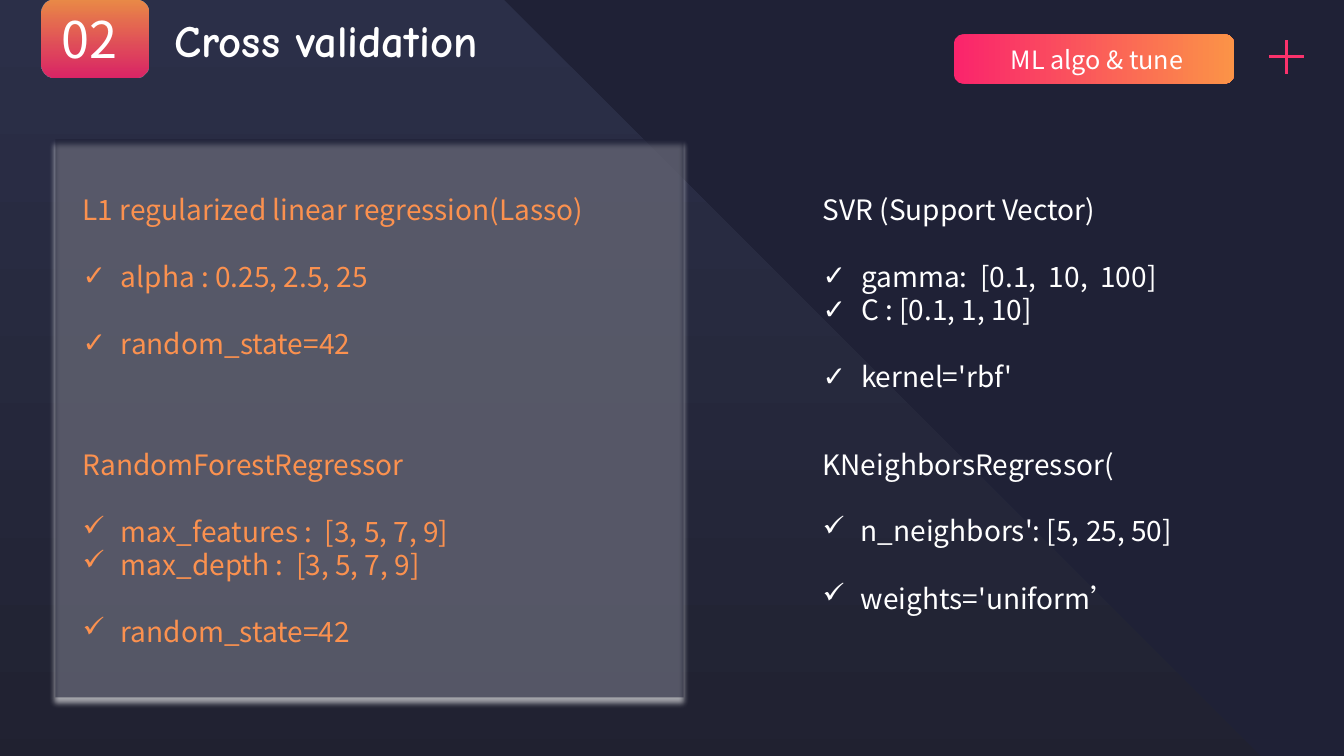
from lxml.etree import SubElement
from pptx import Presentation
from pptx.dml.color import RGBColor
from pptx.enum.shapes import MSO_CONNECTOR, MSO_SHAPE
from pptx.enum.text import MSO_ANCHOR, MSO_AUTO_SIZE, PP_ALIGN
from pptx.oxml.ns import qn
from pptx.util import Inches, Pt

NAVY = RGBColor(0x1F, 0x21, 0x36)
SLATE = RGBColor(0x2B, 0x2F, 0x48)
DARK = RGBColor(0x20, 0x21, 0x30)
PINK = RGBColor(0xFA, 0x24, 0x6C)
ROSE = RGBColor(0xFA, 0x32, 0x6C)
AMBER = RGBColor(0xFB, 0x93, 0x47)
ORANGE = RGBColor(0xFB, 0x91, 0x4F)
WHITE = RGBColor(0xFF, 0xFF, 0xFF)
SANS = "Noto Sans CJK SC"
COMIC = "Comic Neue"

# Each model: placeholder numbers, left, top, colour, heading, groups of settings
MODELS = [
    (1, 2, 0.72, 1.86, ORANGE, "L1 regularized linear regression(Lasso)",
     [["alpha : 0.25, 2.5, 25"], ["random_state=42"]]),
    (3, 4, 8.06, 1.86, WHITE, "SVR (Support Vector)",
     [["gamma:  [0.1,  10,  100]", "C : [0.1, 1, 10]"], ["kernel='rbf'"]]),
    (None, None, 0.72, 4.39, ORANGE, "RandomForestRegressor",
     [["max_features :  [3, 5, 7, 9]", "max_depth :  [3, 5, 7, 9]"],
      ["random_state=42"]]),
    (None, None, 8.06, 4.39, WHITE, "KNeighborsRegressor(",
     [["n_neighbors': [5, 25, 50]"], ["weights='uniform’"]]),
]


def place(shape, left, top, width, height):
    shape.left, shape.top = Inches(left), Inches(top)
    shape.width, shape.height = Inches(width), Inches(height)


def clear(color, share):
    """Set the opacity, in percent, of the colour element."""
    SubElement(color, qn("a:alpha"), val=str(share * 1000))


def blend(shape, first, last, angle, shares=()):
    shape.fill.gradient()
    shape.fill.gradient_angle = angle
    for stop, color in zip(shape.fill.gradient_stops, (first, last)):
        stop.color.rgb = color
    colors = shape.element.spPr.iter(qn("a:srgbClr"))
    for color, share in zip(list(colors), shares):
        clear(color, share)


def add_block(slide, kind, left, top, width, height):
    block = slide.shapes.add_shape(kind, Inches(left), Inches(top),
                                   Inches(width), Inches(height))
    block.shadow.inherit = False
    block.line.fill.background()
    return block


def add_run(para, text, size, color, font=SANS, bold=False):
    run = para.add_run()
    run.text = text
    run.font.size, run.font.name, run.font.bold = Pt(size), font, bold
    run.font.color.rgb = color


def set_frame(shape, anchor):
    frame = shape.text_frame
    frame.word_wrap = True
    frame.auto_size = MSO_AUTO_SIZE.NONE
    frame.vertical_anchor = anchor
    return frame


def add_label(shape, text, size, align, inset):
    frame = set_frame(shape, MSO_ANCHOR.MIDDLE)
    frame.margin_left = Inches(inset)
    frame.margin_top = frame.margin_bottom = 0
    para = frame.paragraphs[0]
    para.alignment = align
    add_run(para, text, size, WHITE)


def add_stroke(slide, *ends):
    line = slide.shapes.add_connector(MSO_CONNECTOR.STRAIGHT, *map(Inches, ends))
    line.line.color.rgb, line.line.width = ROSE, Pt(2.75)
    SubElement(line.element.spPr, qn("a:effectLst"))


def get_box(slide, number):
    """Bring a placeholder to the front, or add a text box."""
    if number is None:
        return slide.shapes.add_textbox(0, 0, 0, 0)
    box = slide.placeholders[number]
    box.element.getparent().append(box.element)
    return box


def add_title(slide, text):
    title = get_box(slide, 0)
    place(title, 1.63, 0.08, 7.44, 0.64)
    para = set_frame(title, MSO_ANCHOR.TOP).paragraphs[0]
    para.alignment = PP_ALIGN.LEFT
    add_run(para, text, 32, WHITE, COMIC, True)


def add_head(box, left, top, text, color):
    place(box, left, top, 5.95, 0.44)
    para = set_frame(box, MSO_ANCHOR.TOP).paragraphs[0]
    para.space_before = Pt(0)
    add_run(para, text, 20, color)


def add_list(box, left, top, groups, color):
    count = sum(map(len, groups)) + len(groups) - 1
    place(box, left, top, 5.95, 0.1 + count / 3)
    frame = set_frame(box, MSO_ANCHOR.TOP)
    for g, group in enumerate(groups):
        for i, text in enumerate(group):
            para = frame.paragraphs[0] if g + i == 0 else frame.add_paragraph()
            para.space_before = Pt(24 if g and i == 0 else 0)
            props = para._p.get_or_add_pPr()
            props.set("marL", str(Inches(0.38)))
            props.set("indent", str(-Inches(0.38)))
            SubElement(props, qn("a:buChar"), char="✓")
            add_run(para, text, 20, color)


def add_back(slide):
    block = add_block(slide, MSO_SHAPE.RECTANGLE, 0, 0, 13.33, 7.5)
    block.fill.solid()
    block.fill.fore_color.rgb = NAVY
    path = slide.shapes.build_freeform(0, 0, scale=Inches(1))
    path.add_line_segments([(5.36, 0), (12.63, 7.5), (0, 7.5)], close=True)
    slope = path.convert_to_shape()
    slope.shadow.inherit = False
    slope.line.fill.background()
    blend(slope, SLATE, DARK, 270)


def add_panel(slide):
    panel = add_block(slide, MSO_SHAPE.RECTANGLE, 0.55, 1.38, 6.23, 5.54)
    panel.fill.solid()
    panel.fill.fore_color.rgb = NAVY
    props = panel.element.spPr
    clear(next(props.iter(qn("a:srgbClr"))), 59)
    # White glow below the panel
    glow = SubElement(props.find(qn("a:effectLst")), qn("a:outerShdw"),
                      blurRad=str(Pt(4)), dist=str(Pt(4)), dir="5400000",
                      algn="t", rotWithShape="0")
    SubElement(glow, qn("a:srgbClr"), val=str(WHITE))


def main():
    deck = Presentation()
    deck.slide_width, deck.slide_height = Inches(13.33), Inches(7.5)
    slide = deck.slides.add_slide(deck.slide_layouts.get_by_name("Comparison"))
    add_back(slide)

    # Topic button and plus sign
    pill = add_block(slide, MSO_SHAPE.ROUNDED_RECTANGLE, 9.46, 0.34, 2.78, 0.49)
    pill.adjustments[0] = 0.19
    blend(pill, PINK, AMBER, 0)
    add_label(pill, "ML algo & tune", 18, PP_ALIGN.CENTER, 0.16)
    add_stroke(slide, 12.59, 0.56, 12.93, 0.56)
    add_stroke(slide, 12.76, 0.73, 12.76, 0.4)

    # Section number and title
    tile = add_block(slide, MSO_SHAPE.FLOWCHART_ALTERNATE_PROCESS,
                     0.41, 0, 1.06, 0.77)
    blend(tile, PINK, AMBER, 90, (85, 92))
    add_label(tile, "02", 36, PP_ALIGN.LEFT, 0.16)
    add_title(slide, "Cross validation")

    # Models and their settings
    add_panel(slide)
    for head, body, left, top, color, name, groups in MODELS:
        add_head(get_box(slide, head), left, top, name, color)
        add_list(get_box(slide, body), left, top + 0.66, groups, color)
    deck.save("out.pptx")


if __name__ == "__main__":
    main()
